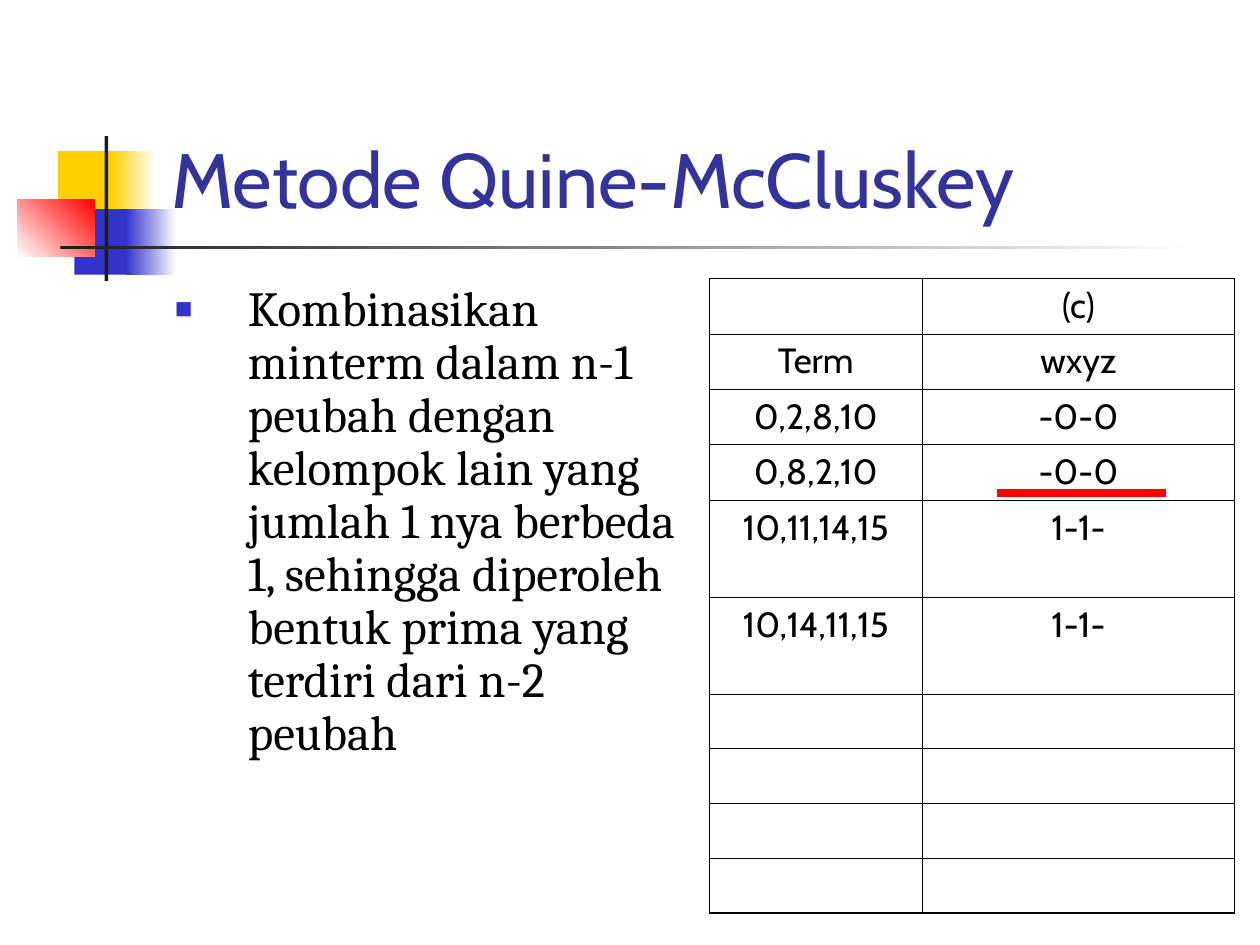
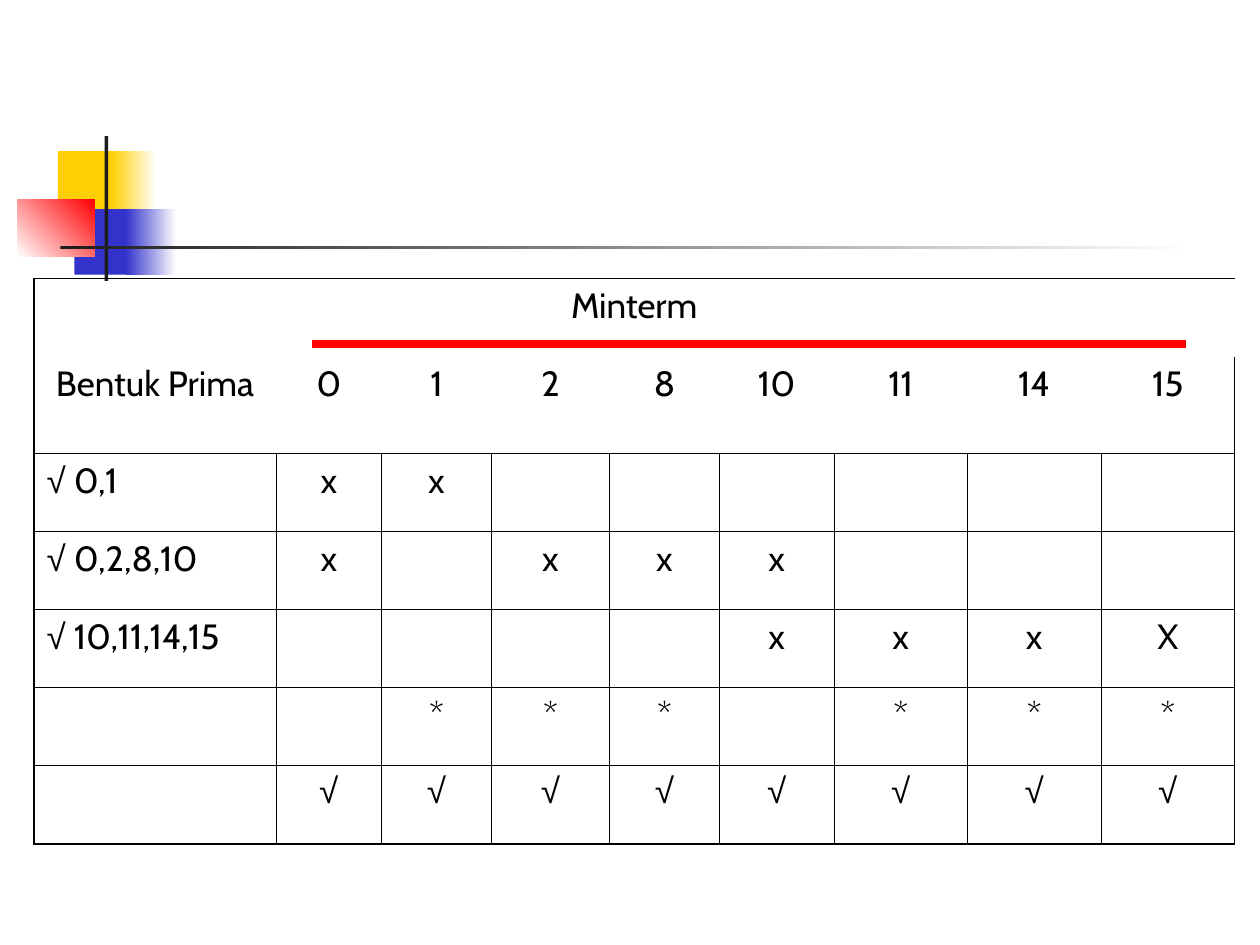
from lxml.etree import SubElement
from pptx import Presentation
from pptx.dml.color import RGBColor
from pptx.enum.shapes import MSO_CONNECTOR as CONNECTOR, MSO_SHAPE as SHAPE
from pptx.enum.text import MSO_ANCHOR as ANCHOR, PP_ALIGN as ALIGN
from pptx.oxml.ns import qn
from pptx.util import Inches, Pt

YELLOW, BLUE, RED = "FFCF01", "3333CC", "FF0000"
DARK, WHITE, BLACK, TITLE_COLOR = "1C1C1C", "FFFFFF", "000000", "333399"
TITLE_FONT, BODY_FONT, CHECK_FONT = "Cabin", "Cambria", "Arial"
CHECK = "√"
THIN, THICK = 0.45, 1.08

DECORATION = [
    ((0.46, 1.2, 0.48, 0.52), [YELLOW], 0),
    ((0.88, 1.2, 0.36, 0.52), [YELLOW, WHITE], 0),
    ((0.59, 1.66, 0.46, 0.52), [BLUE], 0),
    ((1, 1.66, 0.4, 0.52), [BLUE, WHITE], 0),
    ((0.14, 1.58, 0.61, 0.46), [WHITE, RED], 45),
    ((0.83, 1.08, 0.03, 1.15), [DARK], 0),
    ((0.48, 1.95, 9, 0.03), [DARK, WHITE], 0),
]

TITLE = "Metode Quine-McCluskey"
BODY = ("Kombinasikan minterm dalam n-1 peubah dengan kelompok lain yang jumlah 1 nya "
        "berbeda 1, sehingga diperoleh bentuk prima yang terdiri dari n-2 peubah")

TERM_ROWS = [
    ["", "(c)"],
    ["Term", "wxyz"],
    ["0,2,8,10", "-0-0"],
    ["0,8,2,10", "-0-0"],
    ["10,11,14,15", "1-1-"],
    ["10,14,11,15", "1-1-"],
] + [["", ""]] * 4
TERM_WIDTHS = [1.69, 2.48]
TERM_HEIGHTS = [0.44] * 4 + [0.77] * 2 + [0.43] * 4

PRIME_ROWS = [
    ["Minterm"] + [""] * 8,
    ["Bentuk Prima", "0", "1", "2", "8", "10", "11", "14", "15"],
    ["√ 0,1", "x", "x", "", "", "", "", "", ""],
    ["√ 0,2,8,10", "x", "", "x", "x", "x", "", "", ""],
    ["√ 10,11,14,15", "", "", "", "", "x", "x", "x", "X"],
    ["", "", "*", "*", "*", "", "*", "*", "*"],
    [""] + [CHECK] * 8,
]
PRIME_WIDTHS = [1.92, 0.84, 0.87, 0.94, 0.87, 0.91, 1.06, 1.06, 1.06]
PRIME_HEIGHTS = [0.62, 0.77] + [0.62] * 5


def color(value):
    return RGBColor.from_string(value)


def set_font(font, name, size, value):
    font.name, font.size, font.color.rgb = name, Pt(size), color(value)


def add_slide(presentation):
    slide = presentation.slides.add_slide(presentation.slide_layouts[6])
    for box, colors, angle in DECORATION:
        shape = slide.shapes.add_shape(SHAPE.RECTANGLE, *map(Inches, box))
        shape.shadow.inherit = False
        shape.line.fill.background()
        if len(colors) == 1:
            shape.fill.solid()
            shape.fill.fore_color.rgb = color(colors[0])
        else:
            shape.fill.gradient()
            shape.fill.gradient_angle = angle
            for stop, value in zip(shape.fill.gradient_stops, colors):
                stop.color.rgb = color(value)
    return slide


def add_text(slide, box, text, anchor=ANCHOR.TOP):
    frame = slide.shapes.add_textbox(*map(Inches, box)).text_frame
    frame.word_wrap = True
    frame.vertical_anchor = anchor
    frame.text = text
    return frame.paragraphs[0]


def add_bullet(paragraph):
    properties = paragraph._p.get_or_add_pPr()
    properties.set("marL", str(Inches(0.58)))
    properties.set("indent", str(-Inches(0.58)))
    bullet_color = SubElement(properties, qn("a:buClr"))
    SubElement(bullet_color, qn("a:srgbClr"), val=BLUE)
    SubElement(properties, qn("a:buSzPct"), val="60000")
    SubElement(properties, qn("a:buFont"), typeface=CHECK_FONT)
    SubElement(properties, qn("a:buChar"), char="■")


def add_red_line(slide, left, right, y):
    line = slide.shapes.add_connector(
        CONNECTOR.STRAIGHT, Inches(left), Inches(y), Inches(right), Inches(y))
    line.line.color.rgb = color(RED)
    line.line.width = Pt(4.5)
    SubElement(line._element.spPr, qn("a:effectLst"))


def set_border(cell, side, width):
    line = SubElement(cell._tc.get_or_add_tcPr(), qn("a:ln" + side), w=str(Pt(width)))
    if width:
        fill = SubElement(line, qn("a:solidFill"))
        SubElement(fill, qn("a:srgbClr"), val=BLACK)
    else:
        SubElement(line, qn("a:noFill"))


def write_cell(cell, text):
    paragraph = cell.text_frame.paragraphs[0]
    marked = text.startswith(CHECK)
    label = text.removeprefix(CHECK)
    paragraph.alignment = ALIGN.LEFT if marked and label else ALIGN.CENTER
    set_font(paragraph.font, TITLE_FONT, 20, BLACK)
    for part, name in ((CHECK if marked else "", CHECK_FONT), (label, TITLE_FONT)):
        if part:
            run = paragraph.add_run()
            run.text = part
            run.font.name = name


def add_grid(slide, left, rows, widths, heights, thick_sides, open_rows=0):
    table = slide.shapes.add_table(
        len(rows), len(widths), Inches(left), Inches(2.21),
        Inches(sum(widths)), Inches(sum(heights))).table
    table.first_row = table.horz_banding = False
    for column, width in zip(table.columns, widths):
        column.width = Inches(width)
    for row, height in zip(table.rows, heights):
        row.height = Inches(height)
    for r, texts in enumerate(rows):
        for c, text in enumerate(texts):
            cell = table.cell(r, c)
            edges = {"L": c == 0, "R": c == len(widths) - 1,
                     "T": r == 0, "B": r == len(rows) - 1}
            for side, on_edge in edges.items():
                inside_header = r < open_rows and not (side == "B" and r == open_rows - 1)
                if on_edge:
                    width = THICK if side in thick_sides else THIN
                else:
                    width = 0 if inside_header else THIN
                set_border(cell, side, width)
            cell.fill.background()
            write_cell(cell, text)
    return table


def add_method_slide(presentation):
    slide = add_slide(presentation)
    title = add_text(slide, (1.26, 0.23, 8.52, 1.6), TITLE, ANCHOR.BOTTOM)
    set_font(title.font, TITLE_FONT, 44, TITLE_COLOR)
    body = add_text(slide, (1.29, 2.21, 4.17, 4.5), BODY)
    body.line_spacing = 0.9
    add_bullet(body)
    set_font(body.font, BODY_FONT, 28, BLACK)
    add_grid(slide, 5.63, TERM_ROWS, TERM_WIDTHS, TERM_HEIGHTS, "B")
    add_red_line(slide, 7.91, 9.25, 3.91)


def add_prime_slide(presentation):
    slide = add_slide(presentation)
    table = add_grid(slide, 0.27, PRIME_ROWS, PRIME_WIDTHS, PRIME_HEIGHTS, "LRTB", 2)
    table.cell(0, 0).merge(table.cell(0, len(PRIME_WIDTHS) - 1))
    add_red_line(slide, 2.48, 9.41, 2.73)


def main():
    presentation = Presentation()
    presentation.slide_width, presentation.slide_height = Inches(10), Inches(7.5)
    add_method_slide(presentation)
    add_prime_slide(presentation)
    presentation.save("out.pptx")


if __name__ == "__main__":
    main()
